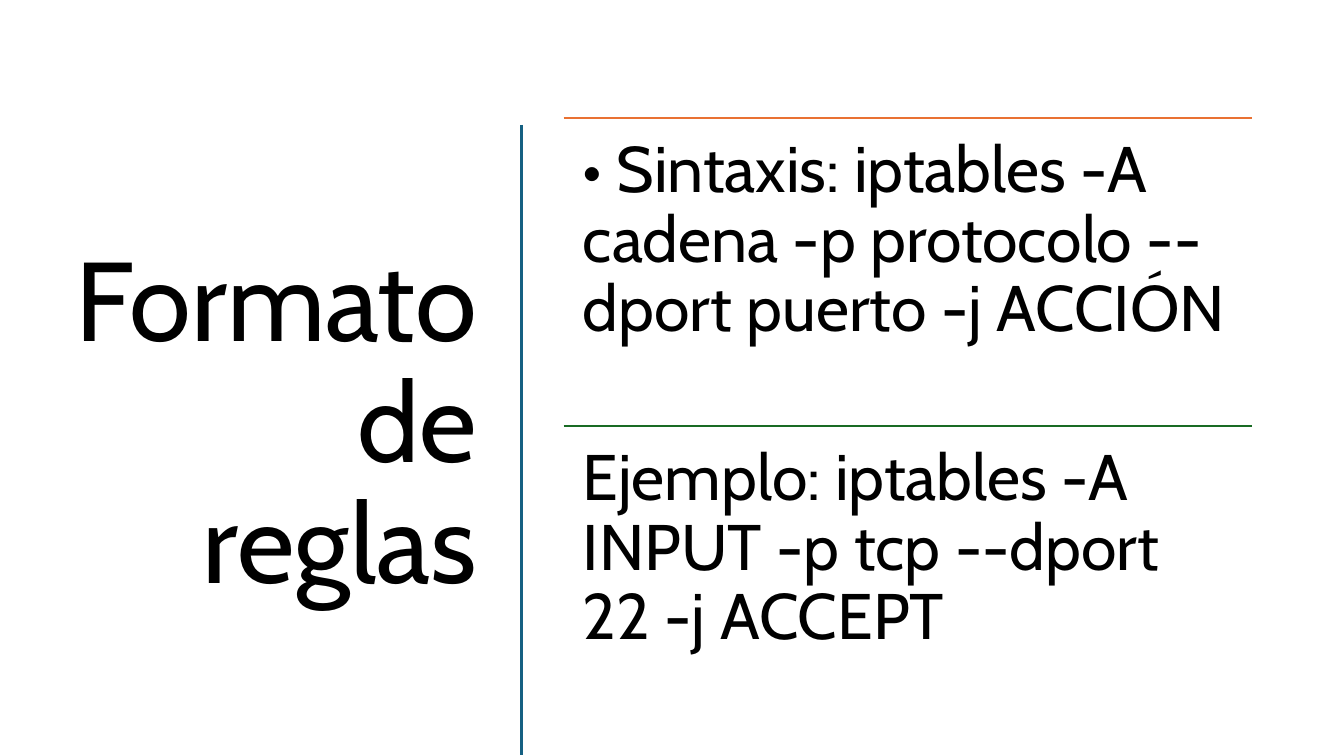
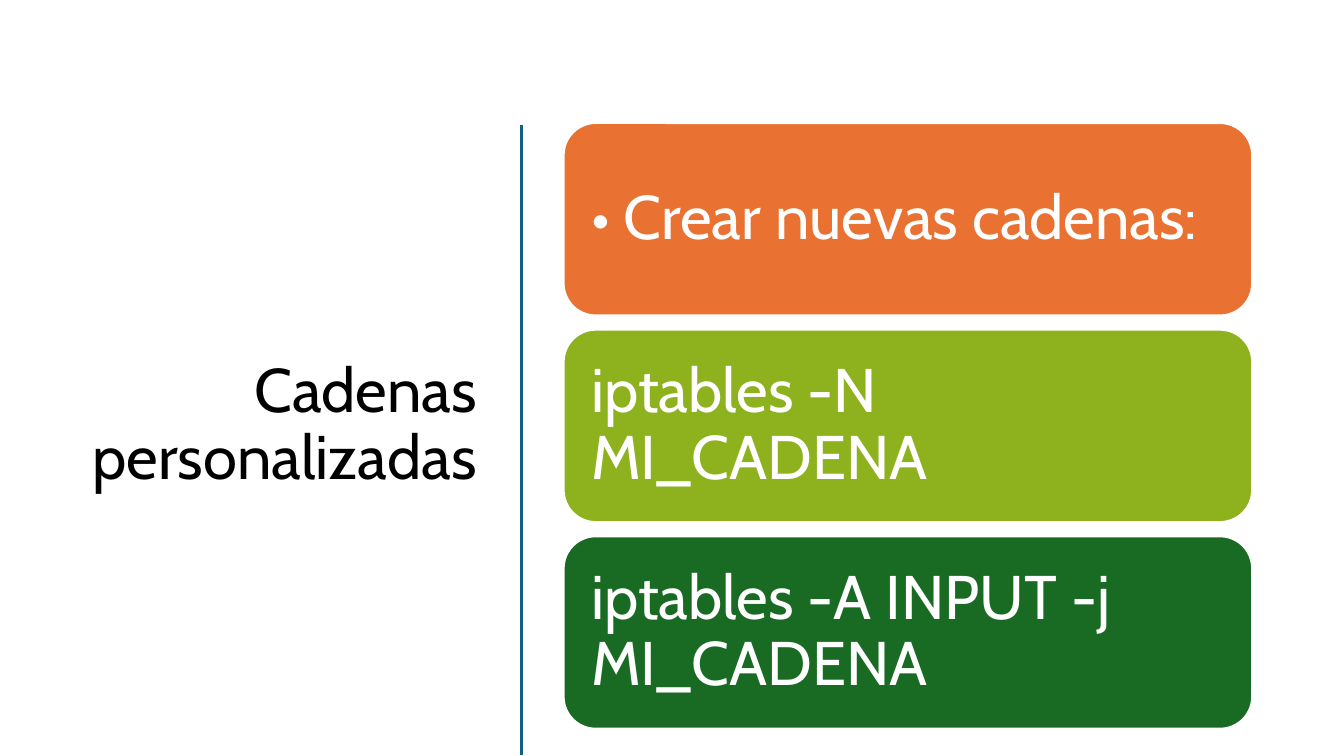
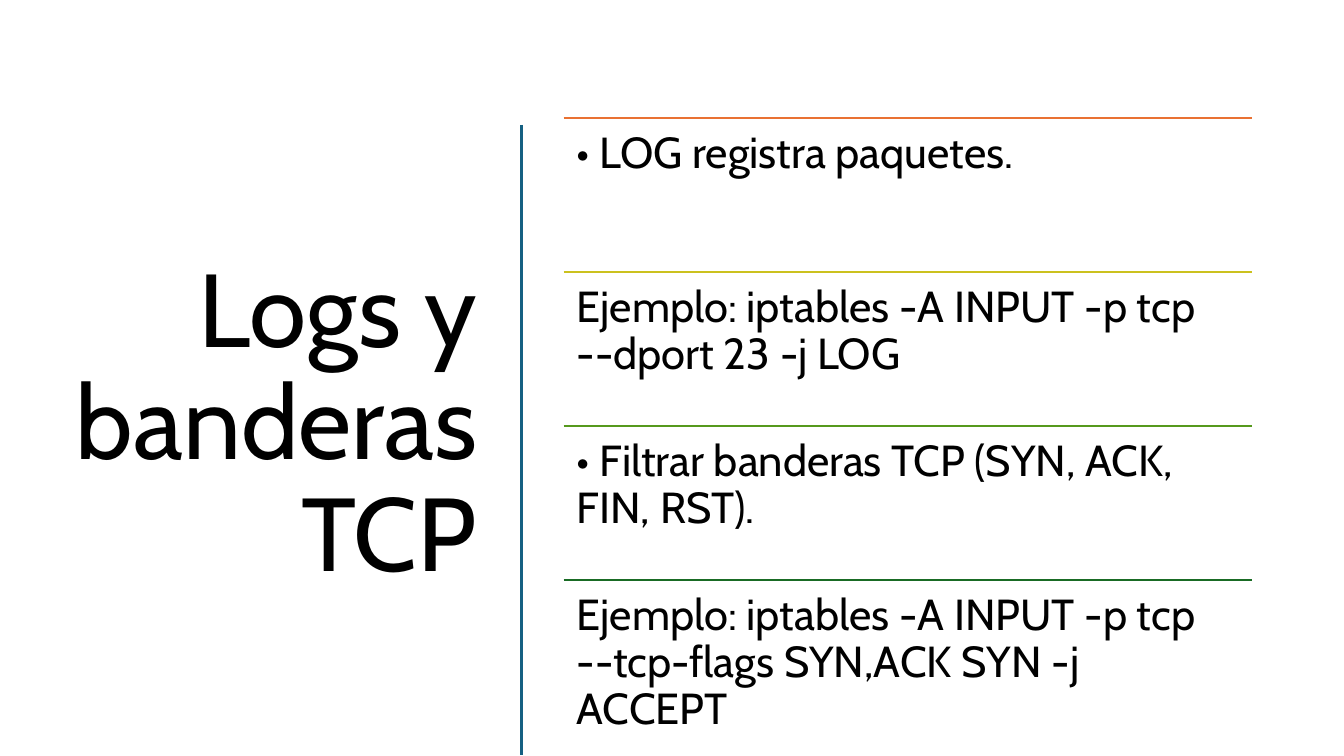
from lxml import etree
from pptx import Presentation
from pptx.dml.color import RGBColor
from pptx.enum import shapes, text
from pptx.oxml import ns
from pptx.util import Inches, Pt

FONT = "Cabin"
BLACK = RGBColor(0x00, 0x00, 0x00)
WHITE = RGBColor(0xFF, 0xFF, 0xFF)
BLUE = RGBColor(0x15, 0x60, 0x82)
ORANGE = RGBColor(0xE9, 0x71, 0x32)
YELLOW = RGBColor(0xCB, 0xC1, 0x1E)
LIME = RGBColor(0x8E, 0xB2, 0x1E)
GREEN = RGBColor(0x56, 0x99, 0x1D)
DARK_GREEN = RGBColor(0x19, 0x6B, 0x24)

TOP, HEIGHT = 1.17, 6.11
LEFT, WIDTH = 5.59, 6.83
CARD_TOP, CARD_HEIGHT, CARD_STEP = 1.22, 1.91, 2.05

# title, title size, style, text size, inset, rows of (colour, text)
SLIDES = [
    ("Formato de reglas", 80, "ruled", 46, 0.19, [
        (ORANGE, "• Sintaxis: iptables -A cadena -p protocolo --dport puerto -j ACCIÓN"),
        (DARK_GREEN, "Ejemplo: iptables -A INPUT -p tcp --dport 22 -j ACCEPT"),
    ]),
    ("Cadenas personalizadas", 44, "cards", 44, 0.18, [
        (ORANGE, "• Crear nuevas cadenas:"),
        (LIME, "iptables -N MI_CADENA"),
        (DARK_GREEN, "iptables -A INPUT -j MI_CADENA"),
    ]),
    ("Logs y banderas TCP", 74, "ruled", 31, 0.13, [
        (ORANGE, "• LOG registra paquetes."),
        (YELLOW, "Ejemplo: iptables -A INPUT -p tcp --dport 23 -j LOG"),
        (GREEN, "• Filtrar banderas TCP (SYN, ACK, FIN, RST)."),
        (DARK_GREEN, "Ejemplo: iptables -A INPUT -p tcp --tcp-flags SYN,ACK SYN -j ACCEPT"),
    ]),
]


def write(shape, words, size, color, align, anchor, inset=None):
    tf = shape.text_frame
    tf.word_wrap = True
    tf.vertical_anchor = anchor
    if inset is not None:
        tf.margin_left = tf.margin_right = Inches(inset)
        tf.margin_top = tf.margin_bottom = Inches(inset)
    p = tf.paragraphs[0]
    p.text = words
    p.alignment = align
    p.line_spacing = 0.9
    p.font.name = FONT
    p.font.size = Pt(size)
    p.font.color.rgb = color


def add_line(s, x1, y1, x2, y2, color, width):
    line = s.shapes.add_connector(shapes.MSO_CONNECTOR.STRAIGHT,
                                  Inches(x1), Inches(y1), Inches(x2), Inches(y2))
    line.line.color.rgb = color
    line.line.width = Pt(width)
    etree.SubElement(line._element.spPr, ns.qn("a:effectLst"))


prs = Presentation()
prs.slide_width, prs.slide_height = Inches(13.33), Inches(7.5)

for title, title_size, style, size, inset, rows in SLIDES:
    s = prs.slides.add_slide(prs.slide_layouts[6])
    box = s.shapes.add_textbox(Inches(0.52), Inches(TOP), Inches(4.31), Inches(HEIGHT))
    write(box, title, title_size, BLACK, text.PP_ALIGN.RIGHT, text.MSO_ANCHOR.MIDDLE)
    add_line(s, 5.17, 1.24, 5.17, 7.49, BLUE, 2)

    for i, (color, words) in enumerate(rows):
        if style == "cards":
            card = s.shapes.add_shape(
                shapes.MSO_SHAPE.ROUNDED_RECTANGLE, Inches(LEFT),
                Inches(CARD_TOP + i * CARD_STEP), Inches(WIDTH), Inches(CARD_HEIGHT))
            card.shadow.inherit = False
            card.fill.solid()
            card.fill.fore_color.rgb = color
            card.line.color.rgb = WHITE
            card.line.width = Pt(1.5)
            write(card, words, size, WHITE, text.PP_ALIGN.LEFT,
                  text.MSO_ANCHOR.MIDDLE, inset)
        else:
            row_height = HEIGHT / len(rows)
            y = TOP + i * row_height
            add_line(s, LEFT, y, LEFT + WIDTH, y, color, 1.5)
            box = s.shapes.add_textbox(Inches(LEFT), Inches(y),
                                       Inches(WIDTH), Inches(row_height))
            write(box, words, size, BLACK, text.PP_ALIGN.LEFT,
                  text.MSO_ANCHOR.TOP, inset)

prs.save("out.pptx")
